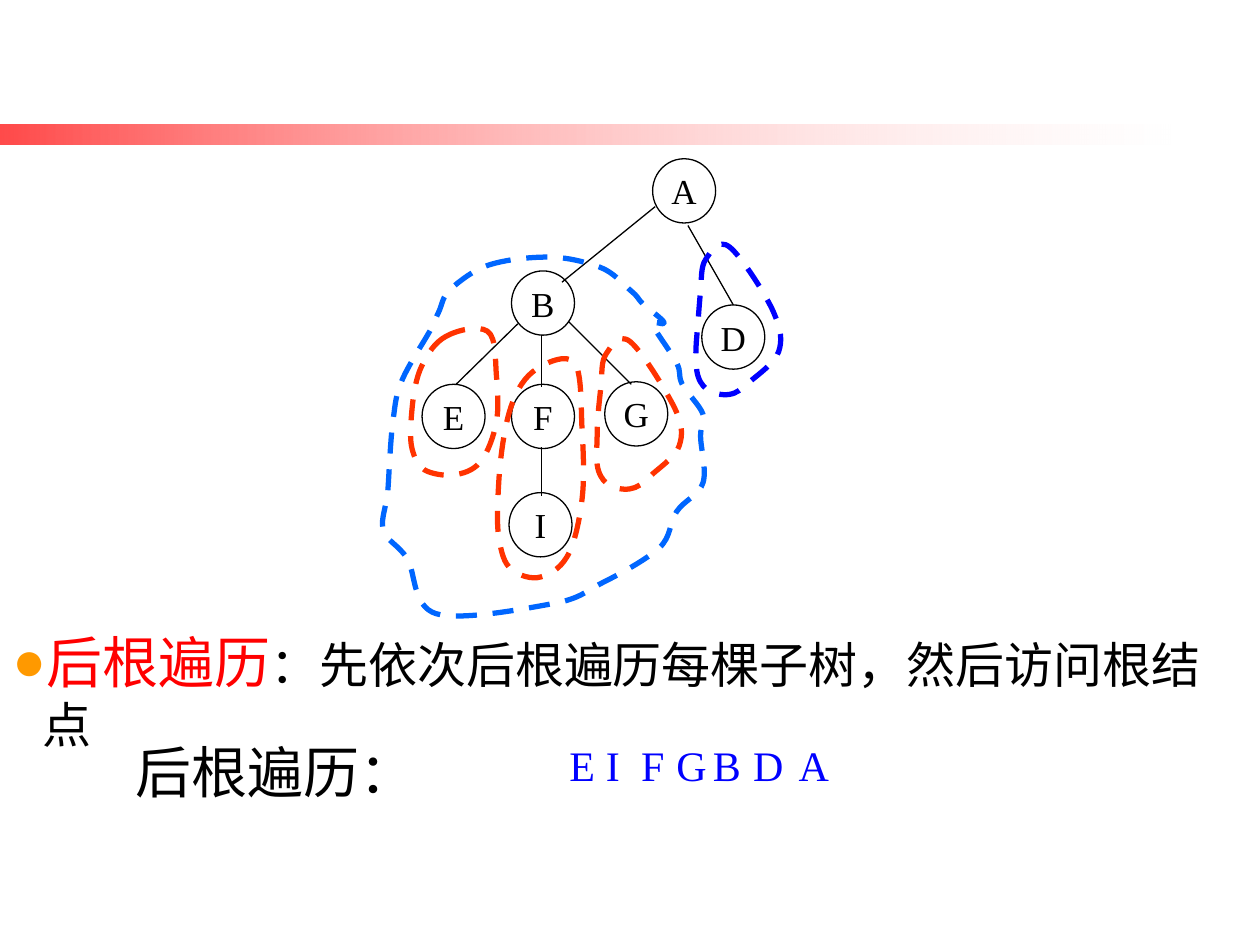
"""Builds a slide on post-order traversal of a tree."""
from dataclasses import dataclass

from lxml import etree
from pptx import Presentation, util as u
from pptx.dml.color import RGBColor
from pptx.enum import dml, shapes, text
from pptx.oxml.ns import qn

PX = 9144


@dataclass(frozen=True)
class Theme:
    black: str = "000000"
    white: str = "FFFFFF"
    red: str = "FF0000"
    blue: str = "0000FF"
    sky: str = "0066FF"
    orange: str = "FF3300"
    bullet: str = "FF9900"
    sans: str = "Arial"
    serif: str = "Times New Roman"
    heading: int = 32
    body: int = 28
    order: int = 24
    node: int = 20
    thin: float = 0.75
    thick: int = 3


T = Theme()

BAR_BOX = (0, 99, 929, 16)
BAR_STOPS = [(T.white, 18), (T.red, 71)]

RULE_BOX = (0, 493, 1000, 110)
RULE_INDENT = 24
RULE_RUNS = [("后根遍历", T.heading, T.red),
             ("：先依次后根遍历每棵子树，然后访问根结点", T.body, T.black)]

RESULT_LABEL = "后根遍历："
RESULT_BOX = (98, 580, 242, 64)
VISIT_TOP, VISIT_HEIGHT = 582, 50
VISIT_LEFTS = [442, 471, 499, 527, 556, 588, 624]
VISIT_WIDTHS = [40, 31, 38, 44, 42, 44, 44]

CHILDREN = {"A": "BD", "B": "EFG", "F": "I"}
NODE_SIZE = (50, 51)
NODE_CORNERS = {"A": (518, 126), "B": (406, 215), "D": (557, 242),
                "E": (335, 305), "F": (406, 305), "G": (480, 303),
                "I": (404, 391)}
EDGE_ENDS = {"AD": (546, 179, 582, 242), "AB": (520, 164, 446, 224),
             "BF": (430, 266, 430, 307), "BE": (411, 257, 362, 305),
             "BG": (451, 255, 501, 305), "FI": (430, 355, 430, 394)}

AROUND_B = [(389, 210), (435, 204), (476, 212), (501, 231), (510, 241),
            (527, 256), (518, 258), (537, 288), (541, 304), (558, 329),
            (556, 346), (558, 383), (537, 406), (523, 435), (479, 462),
            (439, 479), (346, 487), (323, 443), (304, 420), (308, 387),
            (312, 333), (319, 302), (341, 263), (348, 248), (358, 229)]
AROUND_E = [(354, 267), (335, 290), (327, 325), (327, 356), (337, 373),
            (360, 377), (381, 367), (394, 335), (394, 298), (387, 263)]
AROUND_G = [(481, 281), (477, 306), (474, 342), (474, 369), (482, 384),
            (500, 388), (516, 378), (539, 354), (535, 323), (500, 271)]
AROUND_F = [(423, 295), (404, 328), (396, 381), (396, 427), (406, 452),
            (429, 458), (450, 442), (462, 396), (462, 341), (456, 288)]
G_TO_D = (79, -75)
AROUND_D = [(x + G_TO_D[0], y + G_TO_D[1]) for x, y in AROUND_G]
SUBTREE_LOOPS = [(AROUND_B, T.sky), (AROUND_E, T.orange),
                 (AROUND_G, T.orange), (AROUND_F, T.orange),
                 (AROUND_D, T.blue)]


def emu(lengths):
    return [length * PX for length in lengths]


def rgb(code):
    return RGBColor.from_string(code)


def postorder(root):
    """Lists every subtree from left to right, then the root."""
    visited = [name for child in CHILDREN.get(root, "")
               for name in postorder(child)]
    return visited + [root]


def write(shape, content, size, color=T.black, font=T.serif, align=None,
          anchor=text.MSO_ANCHOR.TOP, wrap=False, grow=True):
    frame = shape.text_frame
    frame.word_wrap = wrap
    frame.vertical_anchor = anchor
    frame.auto_size = (text.MSO_AUTO_SIZE.SHAPE_TO_FIT_TEXT if grow
                       else text.MSO_AUTO_SIZE.NONE)
    paragraph = frame.paragraphs[0]
    paragraph.alignment = align
    run = paragraph.add_run()
    run.text = content
    run.font.size = u.Pt(size)
    run.font.name = font
    run.font.color.rgb = rgb(color)
    return paragraph


def add_preset(slide, kind, box):
    preset = slide.shapes.add_shape(kind, *emu(box))
    preset.shadow.inherit = False
    return preset


def set_line(shape, color, width):
    shape.line.color.rgb = rgb(color)
    shape.line.width = u.Pt(width)


def add_bar(slide):
    bar = add_preset(slide, shapes.MSO_SHAPE.RECTANGLE, BAR_BOX)
    bar.line.fill.background()
    bar.fill.gradient()
    bar.fill.gradient_angle = 180
    for position, stop in enumerate(bar.fill.gradient_stops):
        color, opacity = BAR_STOPS[position]
        stop.position = position
        stop.color.rgb = rgb(color)
        tint = stop._gs.find(qn("a:srgbClr"))
        etree.SubElement(tint, qn("a:alpha"), val=str(opacity * 1000))


def add_rule(slide):
    rule = add_preset(slide, shapes.MSO_SHAPE.RECTANGLE, RULE_BOX)
    rule.fill.solid()
    rule.fill.fore_color.rgb = rgb(T.white)
    rule.line.fill.background()
    for content, size, color in RULE_RUNS:
        paragraph = write(rule, content, size, color, T.sans,
                          align=text.PP_ALIGN.LEFT, wrap=True)
    props = paragraph._p.get_or_add_pPr()
    props.set("marL", str(RULE_INDENT * PX))
    props.set("indent", str(-RULE_INDENT * PX))
    bullet_color = etree.SubElement(props, qn("a:buClr"))
    etree.SubElement(bullet_color, qn("a:srgbClr"), val=T.bullet)
    etree.SubElement(props, qn("a:buFont"), typeface=T.sans)
    etree.SubElement(props, qn("a:buChar"), char="●")


def add_node(slide, name, corner):
    node = add_preset(slide, shapes.MSO_SHAPE.OVAL, corner + NODE_SIZE)
    node.fill.background()
    set_line(node, T.black, T.thin)
    write(node, name, T.node, align=text.PP_ALIGN.CENTER,
          anchor=text.MSO_ANCHOR.MIDDLE, grow=False)


def add_edge(slide, ends):
    edge = slide.shapes.add_connector(shapes.MSO_CONNECTOR.STRAIGHT, *emu(ends))
    set_line(edge, T.black, T.thin)
    etree.SubElement(edge.element.spPr, qn("a:effectLst"))


def smooth(anchors):
    """Returns two handles and an end point for each span of a closed spline."""
    curve = []
    for i, here in enumerate(anchors):
        before = anchors[i - 1]
        after, beyond = (anchors[(i + step) % len(anchors)] for step in (1, 2))
        leave = [h + (a - b) / 6 for b, h, a in zip(before, here, after)]
        arrive = [a - (n - h) / 6 for h, a, n in zip(here, after, beyond)]
        curve += [leave, arrive, after]
    return curve


def add_loop(slide, anchors, color):
    builder = slide.shapes.build_freeform(*anchors[0], scale=PX)
    builder.add_line_segments(smooth(anchors), close=True)
    loop = builder.convert_to_shape()
    segments = list(loop.element.spPr.iter(qn("a:lnTo")))
    for start in range(0, len(anchors) * 3, 3):
        span = etree.Element(qn("a:cubicBezTo"))
        segments[start].addprevious(span)
        for segment in segments[start:start + 3]:
            span.append(segment[0])
            segment.getparent().remove(segment)
    loop.shadow.inherit = False
    loop.fill.background()
    set_line(loop, color, T.thick)
    loop.line.dash_style = dml.MSO_LINE.DASH


def main():
    deck = Presentation()
    deck.slide_width, deck.slide_height = emu((1000, 750))
    slide = deck.slides.add_slide(deck.slide_layouts[6])
    add_bar(slide)
    add_rule(slide)
    for name, corner in NODE_CORNERS.items():
        add_node(slide, name, corner)
    for ends in EDGE_ENDS.values():
        add_edge(slide, ends)
    write(slide.shapes.add_textbox(*emu(RESULT_BOX)), RESULT_LABEL, T.heading,
          anchor=text.MSO_ANCHOR.MIDDLE)
    for name, left, width in zip(postorder("A"), VISIT_LEFTS, VISIT_WIDTHS):
        visit_box = (left, VISIT_TOP, width, VISIT_HEIGHT)
        write(slide.shapes.add_textbox(*emu(visit_box)), name, T.order, T.blue)
    for anchors, color in SUBTREE_LOOPS:
        add_loop(slide, anchors, color)
    deck.save("out.pptx")


if __name__ == "__main__":
    main()
